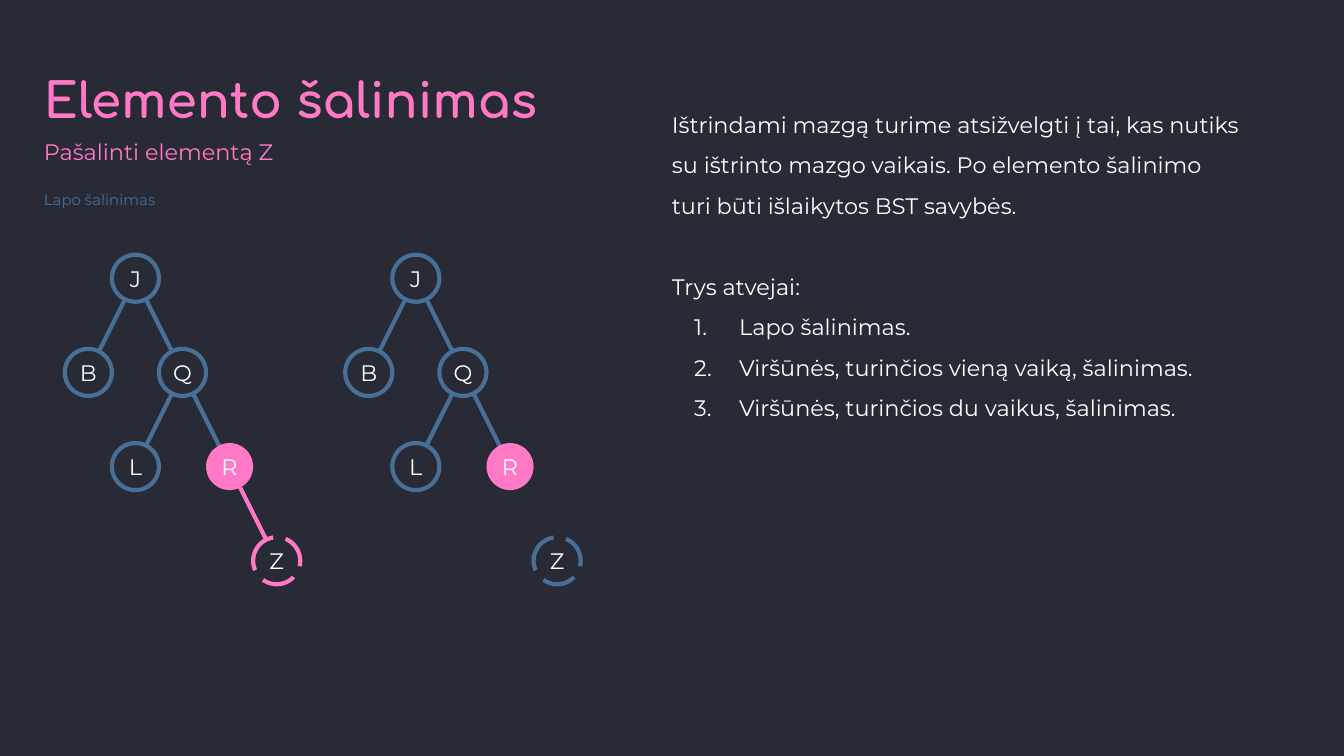
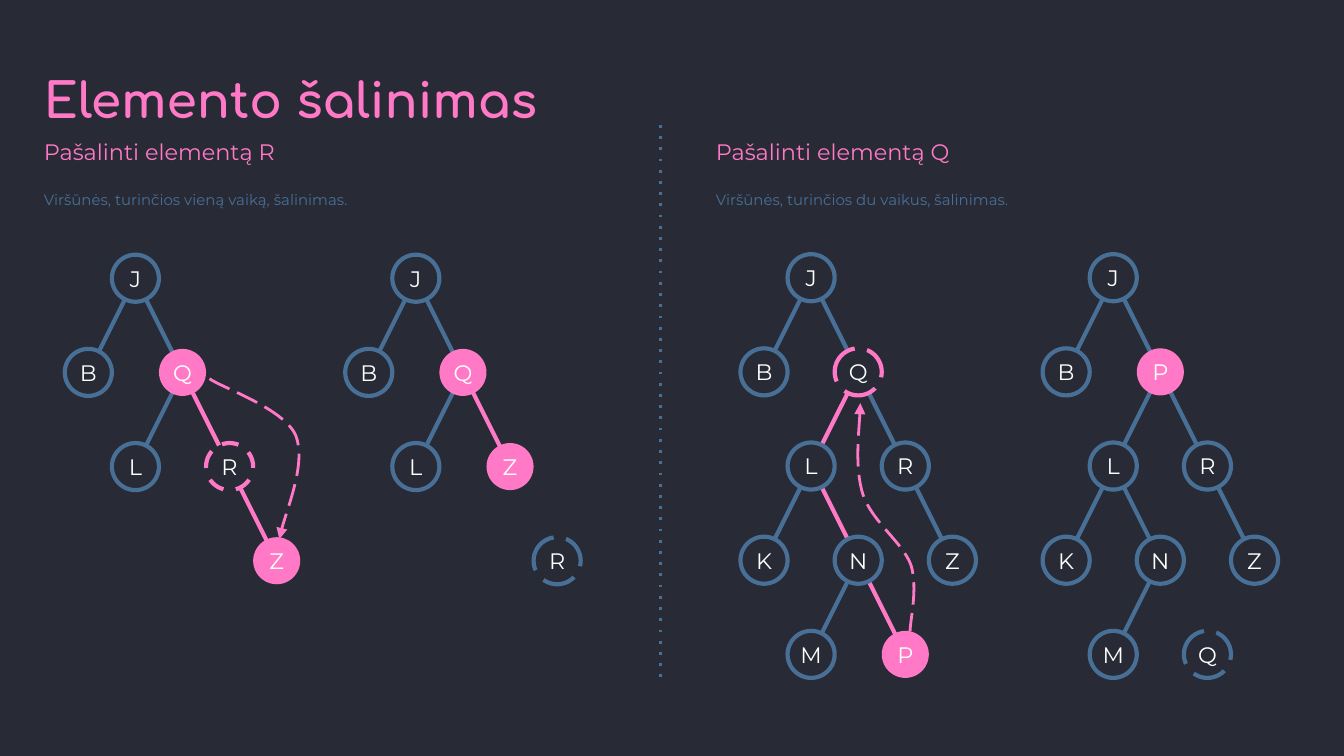
import pptx
import pptx.util
import pptx.dml.color
import pptx.enum.shapes
import pptx.enum.text
import lxml.etree
from pptx.oxml.ns import qn

Cm, Pt = pptx.util.Cm, pptx.util.Pt
RGB = pptx.dml.color.RGBColor
DARK = RGB(0x28, 0x2A, 0x36)
PINK = RGB(0xFF, 0x79, 0xC6)
BLUE = RGB(0x48, 0x70, 0x97)
WHITE = RGB(0xFF, 0xFF, 0xFF)

# Text styles: font values, colour, line spacing
STYLES = {
    "title": ({"name": "Comfortaa", "size": Pt(26), "bold": True}, PINK, 1.5),
    "task": ({"name": "Montserrat", "size": Pt(12)}, PINK, None),
    "case": ({"name": "Montserrat", "size": Pt(8)}, BLUE, None),
    "body": ({"name": "Montserrat", "size": Pt(12)}, WHITE, 1.5),
    "node": ({"name": "Montserrat", "size": Pt(12)}, WHITE, None),
}
PAD = Cm(0.25)
BOX = {"margin_left": PAD, "margin_right": PAD, "margin_top": PAD,
       "margin_bottom": PAD, "word_wrap": True}
DISC = {"margin_left": 0, "margin_right": 0, "margin_top": 0,
        "margin_bottom": 0, "word_wrap": True,
        "vertical_anchor": pptx.enum.text.MSO_ANCHOR.MIDDLE}


def write(frame, form, style, *lines):
    """Fill a text frame, one paragraph per line."""
    for key, val in form.items():
        setattr(frame, key, val)
    font, hue, lead = STYLES[style]
    for i, line in enumerate(lines):
        para = frame.add_paragraph() if i else frame.paragraphs[0]
        para.line_spacing = lead
        run = para.add_run()
        run.text = line
        for key, val in font.items():
            setattr(run.font, key, val)
        run.font.color.rgb = hue


def ink(shape, hue, width, dash=None, tip=None):
    """Set the outline of a shape or connector, without shadow."""
    shape.line.color.rgb = hue
    shape.line.width = Pt(width)
    props = shape.element.spPr
    line = props.find(qn("a:ln"))
    if dash:
        lxml.etree.SubElement(line, qn("a:prstDash"), val=dash)
    if tip:
        lxml.etree.SubElement(line, qn("a:" + tip), type="triangle")
    if props.find(qn("a:effectLst")) is None:
        lxml.etree.SubElement(props, qn("a:effectLst"))


# Deck: two slides on the same ground
deck = pptx.Presentation()
deck.slide_width, deck.slide_height = Cm(25.4), Cm(14.29)
slides = [deck.slides.add_slide(deck.slide_layouts[6]) for _ in range(2)]
for slide in slides:
    slide.background.fill.solid()
    slide.background.fill.fore_color.rgb = DARK
    box = slide.shapes.add_textbox(Cm(0.58), Cm(0.53), Cm(11.15), Cm(1.45))
    write(box.text_frame, BOX, "title", "Elemento šalinimas")

# Headings: slide, left, width of the case line, task, case
HEADS = [
    (0, 0.58, 3.1, "Pašalinti elementą Z", "Lapo šalinimas"),
    (1, 0.58, 8.31, "Pašalinti elementą R",
     "Viršūnės, turinčios vieną vaiką, šalinimas."),
    (1, 13.28, 8.31, "Pašalinti elementą Q",
     "Viršūnės, turinčios du vaikus, šalinimas."),
]
for page, left, wide, task, case in HEADS:
    for style, top, width, high, text in (("task", 2.36, 5.08, 1.02, task),
                                          ("case", 3.43, wide, 0.86, case)):
        box = slides[page].shapes.add_textbox(
            Cm(left), Cm(top), Cm(width), Cm(high))
        write(box.text_frame, BOX, style, text)
        box.text_frame.auto_size = pptx.enum.text.MSO_AUTO_SIZE.SHAPE_TO_FIT_TEXT

# Body text with a numbered list
box = slides[0].shapes.add_textbox(Cm(12.45), Cm(1.6), Cm(11.33), Cm(8.51))
write(box.text_frame, BOX, "body",
      "Ištrindami mazgą turime atsižvelgti į tai, kas nutiks su ištrinto "
      "mazgo vaikais. Po elemento šalinimo turi būti išlaikytos BST savybės.",
      "Trys atvejai:",
      "Lapo šalinimas.",
      "Viršūnės, turinčios vieną vaiką, šalinimas.",
      "Viršūnės, turinčios du vaikus, šalinimas.")
paras = box.text_frame.paragraphs
paras[1].space_before = Pt(22)
for para in paras[2:]:
    props = para._p.get_or_add_pPr()
    props.set("marL", str(Cm(1.27)))
    props.set("indent", str(-Cm(0.85)))
    tint = lxml.etree.SubElement(props, qn("a:buClr"))
    lxml.etree.SubElement(tint, qn("a:srgbClr"), val=str(WHITE))
    lxml.etree.SubElement(props, qn("a:buAutoNum"), type="arabicPeriod")

# Trees: nodes fill the spots (column, row) in order
SPOTS = [(0, 0), (-1, 1), (1, 1), (0, 2), (2, 2), (3, 3),
         (-1, 3), (1, 3), (0, 4), (2, 4)]
SIZE, STEP, DROP = 0.89, 0.89, 1.78
# Slide, root x and y, nodes, blue edges, pink edges, full nodes, dashed nodes
TREES = [
    (0, 2.56, 5.26, "JBQLRZ", "JB QL JR", "RZ", "R", {"Z": (PINK, "lgDash")}),
    (0, 7.86, 5.26, "JBQLRZ", "JB QL JR", "", "R", {"Z": (BLUE, "lgDash")}),
    (1, 2.56, 5.26, "JBQLRZ", "JB JQ QL", "QZ", "QZ", {"R": (PINK, "dash")}),
    (1, 7.86, 5.26, "JBQLZR", "JB JQ QL", "QZ", "QZ",
     {"R": (BLUE, "lgDash")}),
    (1, 15.33, 5.25, "JBQLRZKNMP", "JB JZ LK NM", "QL LP", "P",
     {"Q": (PINK, "lgDash")}),
    (1, 21.04, 5.25, "JBPLRZKNMQ", "JB JZ PK LN NM", "", "P",
     {"Q": (BLUE, "lgDash")}),
]
for page, left, top, names, cool, warm, full, dashed in TREES:
    shapes = slides[page].shapes
    mids = {name: (left + col * STEP, top + row * DROP)
            for name, (col, row) in zip(names, SPOTS)}
    for hue, edges in ((BLUE, cool), (PINK, warm)):
        for start, end in edges.split():
            edge = shapes.add_connector(
                pptx.enum.shapes.MSO_CONNECTOR.STRAIGHT,
                *map(Cm, mids[start] + mids[end]))
            ink(edge, hue, 2.25)
    for name, (x, y) in mids.items():
        node = shapes.add_shape(
            pptx.enum.shapes.MSO_SHAPE.OVAL, Cm(x - SIZE / 2),
            Cm(y - SIZE / 2), Cm(SIZE), Cm(SIZE))
        node.shadow.inherit = False
        node.fill.solid()
        node.fill.fore_color.rgb = PINK if name in full else DARK
        if name in full:
            node.line.fill.background()
        else:
            hue, dash = dashed.get(name, (BLUE, None))
            ink(node, hue, 2.25, dash)
        write(node.text_frame, DISC, "node", name)
        node.text_frame.paragraphs[0].alignment = pptx.enum.text.PP_ALIGN.CENTER

# Curved arrows: start point, then three points per Bézier segment
CURVES = [
    ("tailEnd", [(3.96, 7.16), (4.22, 7.34), (5.36, 7.72), (5.59, 8.23),
                 (5.79, 8.74), (5.33, 9.86), (5.28, 10.19)]),
    ("headEnd", [(16.26, 7.62), (16.26, 7.9), (16.15, 8.84), (16.31, 9.35),
                 (16.48, 9.86), (17.07, 10.26), (17.22, 10.69),
                 (17.35, 11.13), (17.2, 11.73), (17.2, 11.94)]),
]
for tip, dots in CURVES:
    dots = [(Cm(x), Cm(y)) for x, y in dots]
    pen = slides[1].shapes.build_freeform(*dots[0])
    pen.add_line_segments(dots[1:], close=False)
    curve = pen.convert_to_shape()
    curve.shadow.inherit = False
    curve.fill.background()
    ink(curve, PINK, 1.5, "lgDash", tip)
    trace = next(curve.element.iter(qn("a:path")))
    legs = trace.findall(qn("a:lnTo"))
    for i in range(0, len(legs), 3):
        bend = lxml.etree.SubElement(trace, qn("a:cubicBezTo"))
        for leg in legs[i:i + 3]:
            bend.append(leg[0])
            trace.remove(leg)

# Dotted divider
split = slides[1].shapes.add_connector(
    pptx.enum.shapes.MSO_CONNECTOR.STRAIGHT,
    Cm(12.49), Cm(2.36), Cm(12.49), Cm(12.8))
ink(split, BLUE, 1.5, "dot")

deck.save("out.pptx")
